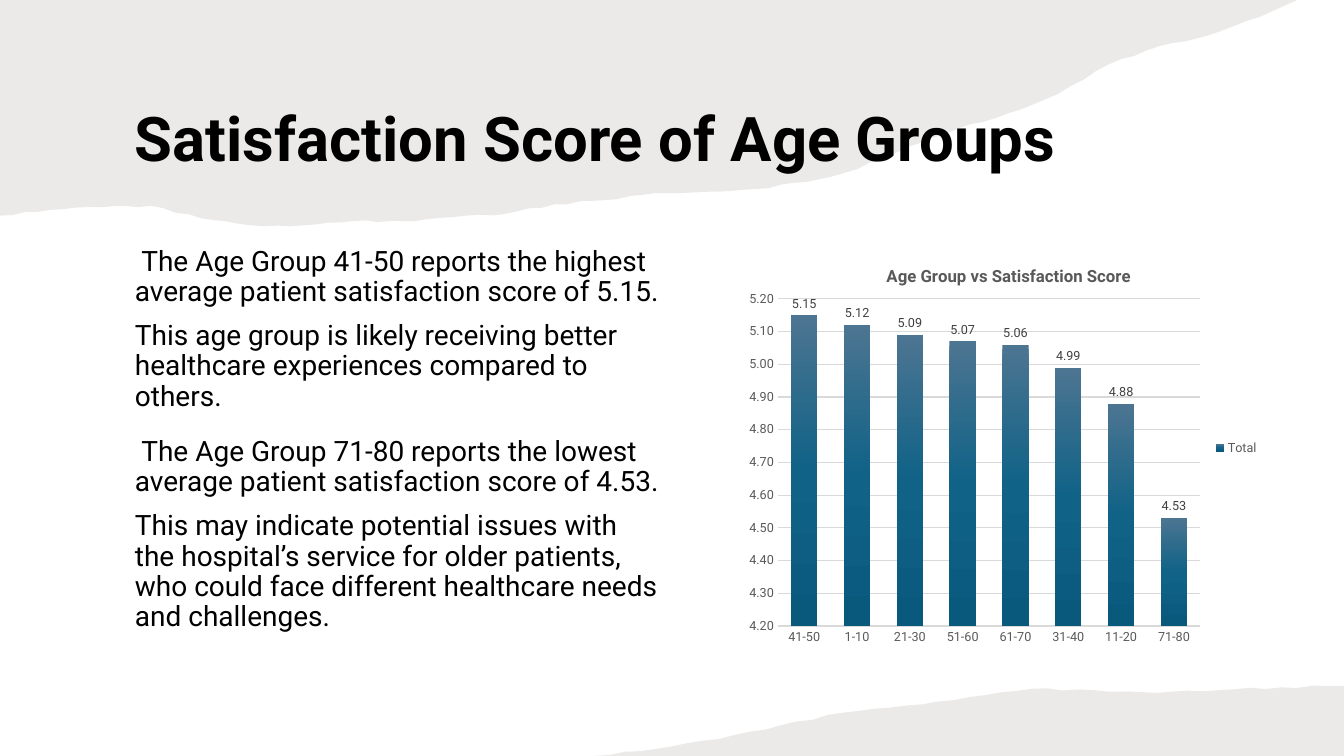
from copy import deepcopy
from dataclasses import dataclass
from math import sin

from lxml.etree import SubElement
from pptx import Presentation
from pptx.chart.data import CategoryChartData
from pptx.dml.color import RGBColor
from pptx.enum.chart import XL_CHART_TYPE, XL_LABEL_POSITION, XL_LEGEND_POSITION, XL_TICK_MARK
from pptx.enum.text import MSO_ANCHOR
from pptx.oxml.ns import qn
from pptx.util import Pt

FONT = "Roboto"
BLACK, GREY, GRID = "000000", "595959", "D9D9D9"


@dataclass
class TornPaper:
    """A sheet with a torn edge, given by heights at equal steps, in points."""
    start: float
    step: float
    heights: list[int]
    corners: list[tuple[float, float]]

    def outline(self) -> list[tuple[float, float]]:
        parts = 4
        edge = []
        for i, (y, following) in enumerate(zip(self.heights, self.heights[1:])):
            for k in range(parts):
                n = i * parts + k
                ragged = 0.7 * sin(n * n) if k else 0
                edge.append((self.start + self.step * n / parts,
                             y + (following - y) * k / parts + ragged))
        end = self.start + self.step * (len(self.heights) - 1)
        return edge + [(end, self.heights[-1])] + self.corners


@dataclass
class TextBlock:
    box: tuple[float, float, float, float]
    anchor: MSO_ANCHOR
    font: dict
    spacing: dict
    lines: list[str]
    after: tuple[float, ...] = (0,)


TOP_PAPER = TornPaper(0, 36, [154, 150, 148, 147, 156, 161, 161, 158, 158, 155, 153, 146, 143,
                              138, 137, 135, 130, 121, 105, 92, 81, 67, 46, 33, 25, 12],
                      [(926.6, 0), (0, 0)])
BOTTOM_PAPER = TornPaper(424, 44.67, [540, 535, 528, 518, 509, 504, 498, 492, 493, 495, 493,
                                      491, 490], [(960, 540)])
BLOCKS = [
    TextBlock((89.28, 48.24, 739.44, 105.12), MSO_ANCHOR.MIDDLE,
              {"size": Pt(44), "bold": True}, {"line_spacing": 0.9},
              ["Satisfaction Score of Age Groups"]),
    TextBlock((89.28, 172.8, 390.24, 308.16), MSO_ANCHOR.TOP,
              {"size": Pt(20)}, {"line_spacing": 0.9, "space_before": Pt(10)},
              [" The Age Group 41-50 reports the highest average patient satisfaction score of 5.15.",
               "This age group is likely receiving better healthcare experiences compared to others.",
               " The Age Group 71-80 reports the lowest average patient satisfaction score of 4.53.",
               "This may indicate potential issues with the hospital’s service for older patients, "
               "who could face different healthcare needs and challenges."],
              (0, 8)),
]
SCORES = {"41-50": 5.15, "1-10": 5.12, "21-30": 5.09, "51-60": 5.07,
          "61-70": 5.06, "31-40": 4.99, "11-20": 4.88, "71-80": 4.53}
BAR_GRADIENT = [(0, "4C7591"), (0.5, "106287"), (1, "09597D")]


def rgb(color: str) -> RGBColor:
    return RGBColor.from_string(color)


def apply(target, values: dict) -> None:
    for name, value in values.items():
        setattr(target, name, value)


def set_font(font, color: str, **values) -> None:
    apply(font, {"name": FONT, **values})
    font.color.rgb = rgb(color)


def add_torn_paper(s, paper: TornPaper) -> None:
    first, *others = paper.outline()
    builder = s.shapes.build_freeform(*(round(v * 100) for v in first), scale=Pt(1) / 100)
    builder.add_line_segments([(round(x * 100), round(y * 100)) for x, y in others], close=True)
    sp = builder.convert_to_shape()
    sp.shadow.inherit = False
    sp.line.fill.background()
    sp.fill.solid()
    sp.fill.fore_color.rgb = rgb("82766A")
    color = sp._element.spPr.find(".//" + qn("a:srgbClr"))
    SubElement(color, qn("a:alpha")).set("val", "15000")


def add_text(s, block: TextBlock) -> None:
    tf = s.shapes.add_textbox(*map(Pt, block.box)).text_frame
    apply(tf, {"word_wrap": True, "vertical_anchor": block.anchor})
    for i, line in enumerate(block.lines):
        p = tf.add_paragraph() if i else tf.paragraphs[0]
        apply(p, {**block.spacing, "space_after": Pt(block.after[i % len(block.after)])})
        r = p.add_run()
        r.text = line
        set_font(r.font, BLACK, **block.font)


def set_layout(parent, index: int, **values) -> None:
    """Place a chart part by fractions of the chart area."""
    layout = parent.find(qn("c:layout"))
    if layout is None:
        layout = SubElement(parent, qn("c:layout"))
        parent.insert(index, layout)
    manual = SubElement(layout, qn("c:manualLayout"))
    for tag, value in values.items():
        SubElement(manual, qn(f"c:{tag}")).set("val", str(value))


def style_axes(chart) -> None:
    for axis in (chart.category_axis, chart.value_axis):
        apply(axis, {"major_tick_mark": XL_TICK_MARK.NONE, "minor_tick_mark": XL_TICK_MARK.NONE})
        set_font(axis.tick_labels.font, GREY, size=Pt(9))
    values = chart.value_axis
    apply(values, {"minimum_scale": 4.2, "maximum_scale": 5.2, "major_unit": 0.1})
    apply(values.tick_labels, {"number_format": "0.00", "number_format_is_linked": False})
    values.format.line.fill.background()
    for line, width in ((chart.category_axis.format.line, 1),
                        (values.major_gridlines.format.line, 0.75)):
        line.color.rgb = rgb(GRID)
        line.width = Pt(width)


def style_bars(plot) -> None:
    apply(plot, {"gap_width": 100, "overlap": -24, "vary_by_categories": False,
                 "has_data_labels": True})
    apply(plot.data_labels, {"show_value": True, "position": XL_LABEL_POSITION.OUTSIDE_END,
                             "number_format": "0.00", "number_format_is_linked": False})
    set_font(plot.data_labels.font, "404040", size=Pt(9))
    series = plot.series[0]
    fill = series.format.fill
    fill.gradient()
    fill.gradient_angle = 270
    stops = series._element.find(".//" + qn("a:gsLst"))
    stops.insert(1, deepcopy(stops[0]))
    for stop, (position, color) in zip(fill.gradient_stops, BAR_GRADIENT):
        stop.position = position
        stop.color.rgb = rgb(color)


def add_score_chart(s) -> None:
    data = CategoryChartData(number_format="0.00")
    data.categories = list(SCORES)
    data.add_series("Total", SCORES.values())
    chart = s.shapes.add_chart(XL_CHART_TYPE.COLUMN_CLUSTERED, Pt(529.2), Pt(172.08),
                               Pt(377.28), Pt(295.92), data).chart
    set_font(chart.font, BLACK, size=Pt(10))
    apply(chart, {"has_title": True, "has_legend": True})
    r = chart.chart_title.text_frame.paragraphs[0].add_run()
    r.text = "Age Group vs Satisfaction Score"
    set_font(r.font, GREY, size=Pt(12), bold=True)
    apply(chart.legend, {"position": XL_LEGEND_POSITION.RIGHT, "include_in_layout": False})
    set_font(chart.legend.font, GREY, size=Pt(9))
    style_axes(chart)
    style_bars(chart.plots[0])
    set_layout(chart.chart_title._element, 1, xMode="edge", yMode="edge", x=0.27, y=0.05)
    set_layout(chart._chartSpace.find(".//" + qn("c:plotArea")), 0, layoutTarget="inner",
               xMode="edge", yMode="edge", x=0.07, y=0.14, w=0.8, h=0.79)


def main() -> None:
    prs = Presentation()
    apply(prs, {"slide_width": Pt(960), "slide_height": Pt(540)})
    s = prs.slides.add_slide(prs.slide_layouts[6])
    add_torn_paper(s, TOP_PAPER)
    for block in BLOCKS:
        add_text(s, block)
    add_torn_paper(s, BOTTOM_PAPER)
    add_score_chart(s)
    prs.save("out.pptx")


if __name__ == "__main__":
    main()
